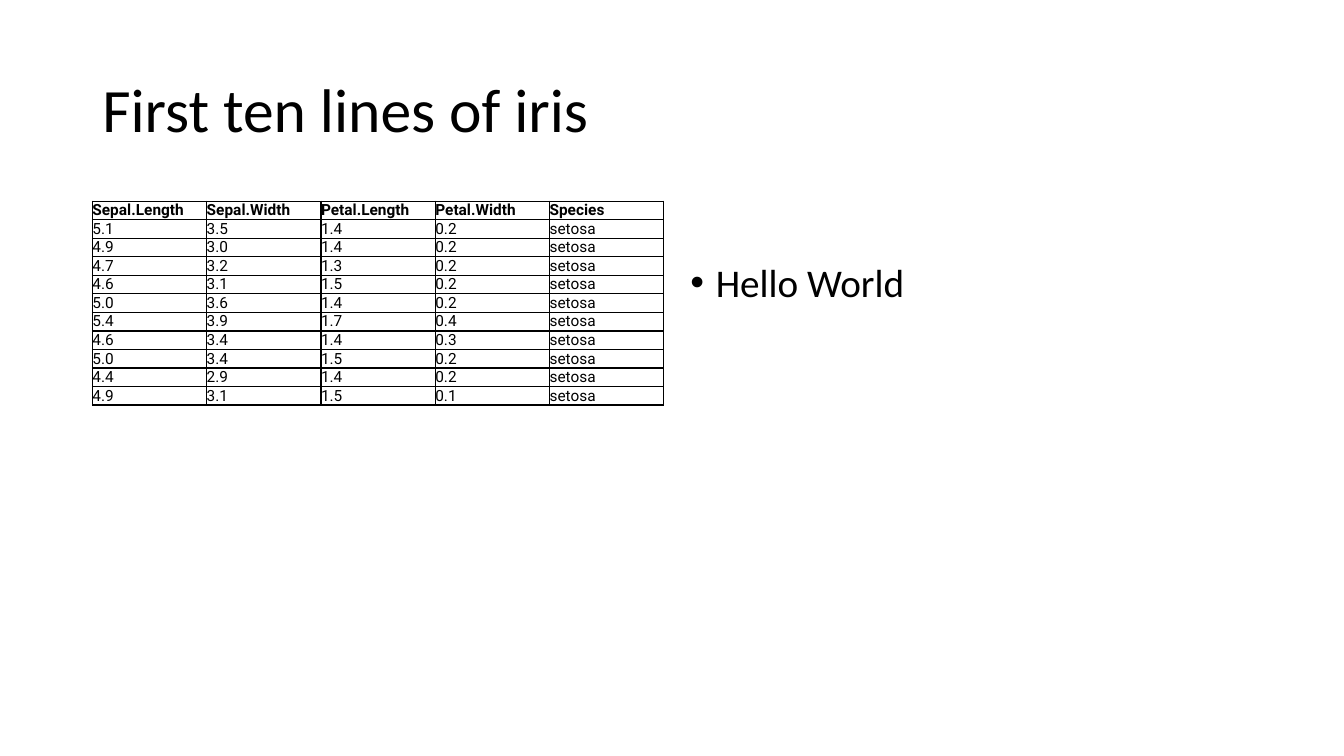
from pptx import Presentation
from pptx.dml.color import RGBColor
from pptx.enum.text import MSO_ANCHOR as Anchor
from pptx.oxml.ns import qn
from pptx.util import Cm, Pt
from lxml.etree import SubElement

BLACK = RGBColor(0x00, 0x00, 0x00)
WHITE = RGBColor(0xFF, 0xFF, 0xFF)
BODY_FONT = "Calibri"
TABLE_FONT = "Roboto"

HEADER = ["Sepal.Length", "Sepal.Width", "Petal.Length", "Petal.Width", "Species"]
FLOWERS = [
    ["5.1", "3.5", "1.4", "0.2", "setosa"],
    ["4.9", "3.0", "1.4", "0.2", "setosa"],
    ["4.7", "3.2", "1.3", "0.2", "setosa"],
    ["4.6", "3.1", "1.5", "0.2", "setosa"],
    ["5.0", "3.6", "1.4", "0.2", "setosa"],
    ["5.4", "3.9", "1.7", "0.4", "setosa"],
    ["4.6", "3.4", "1.4", "0.3", "setosa"],
    ["5.0", "3.4", "1.5", "0.2", "setosa"],
    ["4.4", "2.9", "1.4", "0.2", "setosa"],
    ["4.9", "3.1", "1.5", "0.1", "setosa"],
]

LEFT = Cm(2.33)
CONTENT_TOP = Cm(5.07)
COLUMN_WIDTH = Cm(2.88)
ROW_HEIGHT = Cm(0.45)
BULLET_INDENT = Cm(0.64)


def add_span(para, text, font, size, bold=False):
    span = para.add_run()
    span.text = text
    span.font.name = font
    span.font.size = Pt(size)
    span.font.bold = bold
    span.font.color.rgb = BLACK


def add_text(page, left, top, width, height, text, size):
    box = page.shapes.add_textbox(left, top, width, height)
    box.text_frame.word_wrap = True
    para = box.text_frame.paragraphs[0]
    para.line_spacing = 0.9
    add_span(para, text, BODY_FONT, size)
    return box


def add_bullet(para):
    properties = para._p.get_or_add_pPr()
    properties.set("marL", str(BULLET_INDENT))
    properties.set("indent", str(-BULLET_INDENT))
    SubElement(properties, qn("a:buFont"), typeface="Arial")
    SubElement(properties, qn("a:buChar"), char="•")


def add_borders(cell):
    properties = cell._tc.get_or_add_tcPr()
    for position, side in enumerate(("a:lnL", "a:lnR", "a:lnT", "a:lnB")):
        line = SubElement(properties, qn(side), w=str(Pt(1)))
        fill = SubElement(line, qn("a:solidFill"))
        SubElement(fill, qn("a:srgbClr"), val=str(BLACK))
        properties.insert(position, line)


def fill_cell(cell, text, bold):
    cell.margin_left = cell.margin_right = 0
    cell.margin_top = cell.margin_bottom = 0
    cell.vertical_anchor = Anchor.MIDDLE
    cell.fill.solid()
    cell.fill.fore_color.rgb = WHITE
    add_borders(cell)
    add_span(cell.text_frame.paragraphs[0], text, TABLE_FONT, 11, bold)


def add_iris_table(page):
    rows = [HEADER] + FLOWERS
    table = page.shapes.add_table(
        len(rows), len(HEADER), LEFT, CONTENT_TOP,
        COLUMN_WIDTH * len(HEADER), ROW_HEIGHT * len(rows),
    ).table
    table.horz_banding = False
    for column in table.columns:
        column.width = COLUMN_WIDTH
    for row_index, values in enumerate(rows):
        table.rows[row_index].height = ROW_HEIGHT
        for column_index, value in enumerate(values):
            fill_cell(table.cell(row_index, column_index), value, row_index == 0)


def main():
    deck = Presentation()
    deck.slide_width = Cm(33.87)
    deck.slide_height = Cm(19.05)
    page = deck.slides.add_slide(deck.slide_layouts[6])

    title = add_text(page, LEFT, Cm(1), Cm(29.21), Cm(3.68),
                     "First ten lines of iris", 44)
    title.text_frame.vertical_anchor = Anchor.MIDDLE

    add_iris_table(page)

    greeting = add_text(page, Cm(17.15), CONTENT_TOP, Cm(14.4), Cm(12.09),
                        "Hello World", 28)
    greeting.text_frame.margin_top = Cm(1.57)
    add_bullet(greeting.text_frame.paragraphs[0])

    deck.save("out.pptx")


if __name__ == "__main__":
    main()
